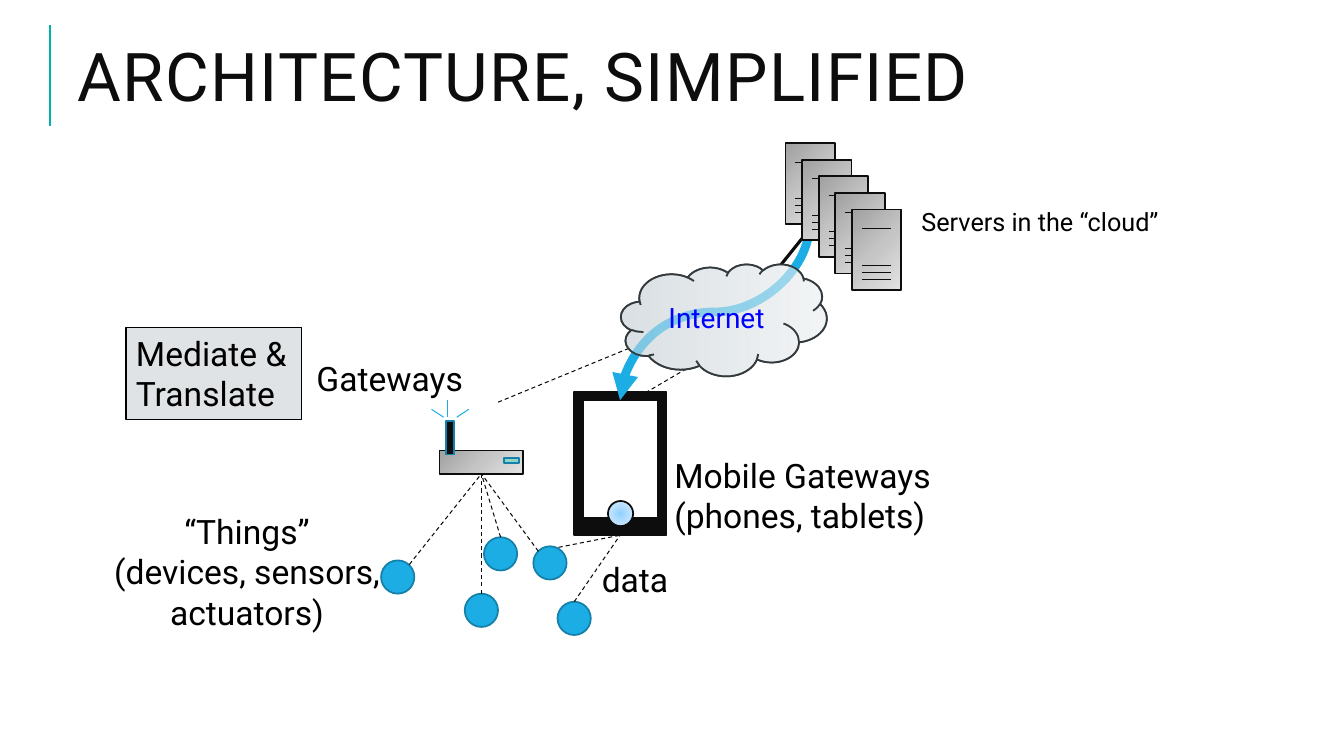
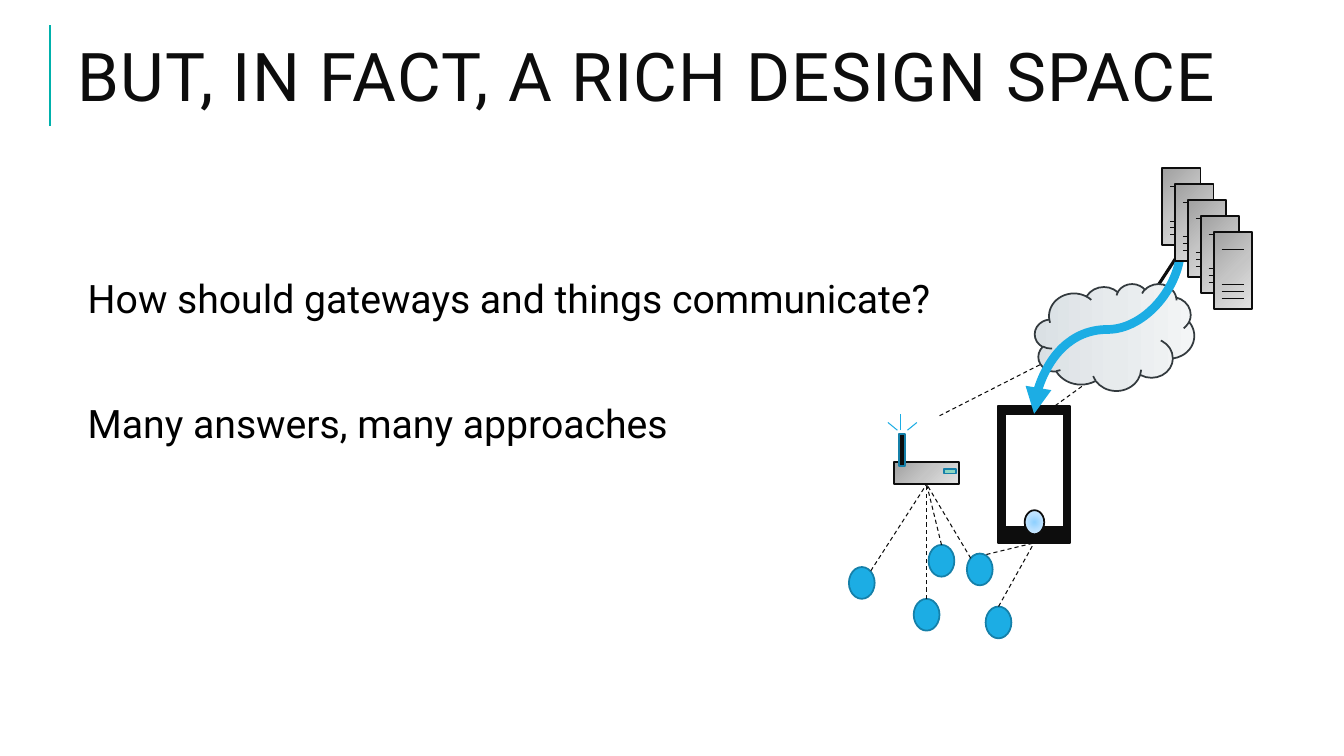
from dataclasses import dataclass

from lxml import etree
from pptx import Presentation
from pptx.dml.color import RGBColor
from pptx.enum.dml import MSO_LINE
from pptx.enum.shapes import MSO_CONNECTOR, MSO_SHAPE
from pptx.enum.text import MSO_ANCHOR, MSO_AUTO_SIZE, PP_ALIGN
from pptx.oxml import parse_xml
from pptx.oxml.ns import nsdecls, qn
from pptx.util import Inches, Pt

RECT, OVAL, CLOUD = MSO_SHAPE.RECTANGLE, MSO_SHAPE.OVAL, MSO_SHAPE.CLOUD
STRAIGHT, CURVE = MSO_CONNECTOR.STRAIGHT, MSO_CONNECTOR.CURVE
DASH = MSO_LINE.DASH
LEFT, CENTER = PP_ALIGN.LEFT, PP_ALIGN.CENTER
TOP, MIDDLE = MSO_ANCHOR.TOP, MSO_ANCHOR.MIDDLE
NO_AUTOFIT = MSO_AUTO_SIZE.NONE

# Colours
INK = RGBColor(0x0D, 0x0D, 0x0D)
BLACK = RGBColor(0x00, 0x00, 0x00)
WHITE = RGBColor(0xFF, 0xFF, 0xFF)
TEAL = RGBColor(0x00, 0xB1, 0xAC)
SKY = RGBColor(0x1C, 0xAD, 0xE4)
DEEP_SKY = RGBColor(0x15, 0x80, 0xA9)
MINT = RGBColor(0x8D, 0xD6, 0xC1)
SLATE = RGBColor(0x33, 0x3A, 0x3E)
PALE = RGBColor(0xDF, 0xE3, 0xE5)
BLUE = RGBColor(0x00, 0x00, 0xFF)

# Gradients: colour and opacity of the three stops, then the direction
LINEAR = '<a:lin ang="{}" scaled="0"/>'
RADIAL = ('<a:path path="circle"><a:fillToRect l="50000" t="50000" '
          'r="50000" b="50000"/></a:path>')
METAL = ((("A0A0A0", 100), ("C5C5C5", 100), ("E3E3E3", 100)),
         LINEAR.format(2700000))
BUTTON = ((("8FD1FF", 100), ("BAE1FF", 100), ("DDEFFF", 100)), RADIAL)
MIST = ((("DAE0E4", 100), ("E7EBED", 100), ("F3F5F6", 100)),
        LINEAR.format(0))
VEIL = ((("DAE0E4", 50), ("E7EBED", 56), ("F3F5F6", 63)),
        LINEAR.format(0))

FONT = "Roboto"
CLOUD_AREA = (6.16, 2.62, 2.04, 1.11)
THING_SIZE = 0.33


@dataclass
class Frame:
    """Scales and shifts the diagram on a page."""
    page: object
    scale_x: float = 1
    scale_y: float = 1
    shift_x: float = 0
    shift_y: float = 0

    def point(self, x, y):
        return (x * self.scale_x + self.shift_x,
                y * self.scale_y + self.shift_y)

    def area(self, left, top, width, height):
        return (*self.point(left, top),
                width * self.scale_x, height * self.scale_y)


# Formatting
def format_font(font, size, color):
    for name, value in {"name": FONT, "size": Pt(size)}.items():
        setattr(font, name, value)
    font.color.rgb = color


def fill_gradient(shape, gradient):
    stops, direction = gradient
    parts = "".join(
        f'<a:gs pos="{index * 50000}"><a:srgbClr val="{color}">'
        f'<a:alpha val="{opacity * 1000}"/></a:srgbClr></a:gs>'
        for index, (color, opacity) in enumerate(stops))
    shape.fill.background()
    properties = shape._element.spPr
    properties.replace(
        properties.find(qn("a:noFill")),
        parse_xml(f'<a:gradFill {nsdecls("a")} rotWithShape="1">'
                  f'<a:gsLst>{parts}</a:gsLst>{direction}</a:gradFill>'))


def write_text(box, text, size, color=BLACK, align=LEFT, anchor=TOP,
               wrap=True):
    frame = box.text_frame
    settings = {"word_wrap": wrap, "vertical_anchor": anchor}
    for name, value in settings.items():
        setattr(frame, name, value)
    para = frame.paragraphs[0]
    para.text = text
    para.alignment = align
    for span in para.runs:
        format_font(span.font, size, color)


# Elements
def add_figure(frame, kind, area, fill, line=INK, width=1.25):
    shape = frame.page.shapes.add_shape(
        kind, *map(Inches, frame.area(*area)))
    shape.shadow.inherit = False
    if isinstance(fill, RGBColor):
        shape.fill.solid()
        shape.fill.fore_color.rgb = fill
    else:
        fill_gradient(shape, fill)
    shape.line.color.rgb = line
    shape.line.width = Pt(width)
    return shape


def style_connector(connector, color, width, dash=None):
    connector.line.color.rgb = color
    connector.line.width = Pt(width)
    if dash:
        connector.line.dash_style = dash
    etree.SubElement(connector._element.spPr, qn("a:effectLst"))


def add_line(frame, start, end, color=INK, width=0.75, dash=None):
    ends = (*frame.point(*start), *frame.point(*end))
    line = frame.page.shapes.add_connector(STRAIGHT, *map(Inches, ends))
    style_connector(line, color, width, dash)
    return line


def add_flow_arrow(frame, start, end):
    """S-curve that leaves and arrives vertically: a quarter-turned curve."""
    (x1, y1), (x2, y2) = frame.point(*start), frame.point(*end)
    mid_x, mid_y = (x1 + x2) / 2, (y1 + y2) / 2
    half_w, half_h = (y2 - y1) / 2, (x1 - x2) / 2
    arrow = frame.page.shapes.add_connector(
        CURVE, Inches(mid_x - half_w), Inches(mid_y - half_h),
        Inches(mid_x + half_w), Inches(mid_y + half_h))
    style_connector(arrow, SKY, 6.25)
    properties = arrow._element.spPr
    properties.find(qn("a:xfrm")).set("rot", "5400000")
    etree.SubElement(properties.find(qn("a:ln")), qn("a:tailEnd"),
                     type="triangle")


def add_label(page, area, text, size=24, **options):
    box = page.shapes.add_textbox(*map(Inches, area))
    write_text(box, text, size, **options)


# Diagram parts
def add_server(frame, left, top):
    add_figure(frame, RECT, (left, top, 0.49, 0.8), METAL)
    for offset in (0.19, 0.55, 0.62, 0.69):
        add_line(frame, (left + 0.1, top + offset),
                 (left + 0.39, top + offset))


def add_router(frame):
    router = add_figure(frame, RECT, (4.36, 4.47, 0.83, 0.23), METAL)
    add_figure(frame, RECT, (4.42, 4.18, 0.08, 0.33), INK, DEEP_SKY)
    add_figure(frame, RECT, (5, 4.54, 0.15, 0.05), MINT, DEEP_SKY)
    for start, end in (((4.4, 4.14), (4.28, 4.06)),
                       ((4.44, 4.14), (4.44, 3.97)),
                       ((4.53, 4.14), (4.65, 4.06))):
        add_line(frame, start, end, SKY)
    return router


def add_phone(frame):
    phone = add_figure(frame, RECT, (5.69, 3.89, 0.92, 1.42), INK)
    add_figure(frame, RECT, (5.78, 3.97, 0.75, 1.17), WHITE)
    add_figure(frame, OVAL, (6.03, 4.97, 0.25, 0.25), BUTTON)
    return phone


def add_wire(frame, start, device, thing=None):
    """Dashed wire to the underside of a device, from the top of a thing."""
    wire = add_line(frame, start, start, dash=DASH)
    if thing is not None:
        wire.begin_connect(thing, 0)
    wire.end_connect(device, 2)


def add_diagram(frame):
    # Uplinks
    add_line(frame, (4.94, 3.99), (6.98, 3.15), dash=DASH)
    add_line(frame, (5.97, 4.15), (7.3, 3.37), dash=DASH)
    add_line(frame, (7.22, 3.28), (8, 2.31), width=2.25)

    # Gateways and things
    router, phone = add_router(frame), add_phone(frame)
    spots = ((3.78, 5.56), (5.29, 5.42), (4.61, 5.89), (4.8, 5.33),
             (5.53, 5.97))
    things = [add_figure(frame, OVAL, (*spot, THING_SIZE, THING_SIZE),
                         SKY, DEEP_SKY) for spot in spots]
    for index, device in ((2, router), (3, router), (4, phone)):
        add_wire(frame, spots[index], device, things[index])
    for start, device in (((4.06, 5.6), router), ((5.34, 5.47), router),
                          ((5.54, 5.43), phone)):
        add_wire(frame, start, device)

    # Cloud, data flow and servers
    add_figure(frame, CLOUD, CLOUD_AREA, MIST, SLATE)
    add_flow_arrow(frame, (8.03, 2.22), (6.15, 3.97))
    for index in range(5):
        add_server(frame, 7.79 + index * 0.165, 1.42 + index * 0.165)


# Pages
def place(box, area):
    for name, value in zip(("left", "top", "width", "height"), area):
        setattr(box, name, Inches(value))


def add_page(deck, layout, title):
    page = deck.slides.add_slide(deck.slide_layouts[layout])
    add_line(Frame(page), (0.5, 1.25), (0.5, 0.25), TEAL, 1.5)
    box = page.shapes.title
    place(box, (0.67, 0.4, 11.5, 1.45))
    write_text(box, title, 48, INK)
    box.text_frame.auto_size = NO_AUTOFIT
    box.text_frame.margin_top = Inches(0.1)
    para = box.text_frame.paragraphs[0]
    para.line_spacing = 0.8
    para.runs[0].font._element.set("spc", "100")
    return page


def fill_body(box, lines):
    place(box, (0.67, 1.42, 11.5, 4.92))
    frame = box.text_frame
    settings = {"auto_size": NO_AUTOFIT, "vertical_anchor": TOP,
                "margin_left": Inches(0.2), "margin_top": Inches(1.35)}
    for name, value in settings.items():
        setattr(frame, name, value)
    for index, line in enumerate(lines):
        para = frame.add_paragraph() if index else frame.paragraphs[0]
        properties = para._p.get_or_add_pPr()
        for name in ("marL", "indent"):
            properties.set(name, "0")
        etree.SubElement(properties, qn("a:buNone"))
        para.line_spacing = 0.9
        para.space_before = Pt(59 if index else 0)
        span = para.add_run()
        span.text = line
        format_font(span.font, 28, BLACK)


def build_architecture(deck):
    page = add_page(deck, 5, "ARCHITECTURE, SIMPLIFIED")
    frame = Frame(page)
    add_diagram(frame)
    veil = add_figure(frame, CLOUD, CLOUD_AREA, VEIL, SLATE)
    write_text(veil, "Internet", 20, BLUE, CENTER, MIDDLE)

    add_label(page, (0.95, 5.02, 3, 1.31),
              "“Things”\n(devices, sensors, actuators)", align=CENTER)
    add_label(page, (5.87, 5.5, 1.61, 0.5), "data")
    add_label(page, (6.59, 4.46, 3.03, 0.91),
              "Mobile Gateways (phones, tablets)")
    add_label(page, (3.04, 3.5, 2.22, 0.5), "Gateways")
    add_label(page, (9.04, 2, 2.71, 0.4), "Servers in the “cloud”", 18,
              wrap=False)
    role = add_figure(frame, RECT, (1.25, 3.25, 1.74, 0.91), PALE, BLACK,
                      0.75)
    write_text(role, "Mediate &\nTranslate", 24, wrap=False)


def build_design_space(deck):
    page = add_page(deck, 1, "BUT, IN FACT, A RICH DESIGN SPACE")
    add_diagram(Frame(page, 0.775, 0.956, 5.49, 0.31))
    fill_body(page.placeholders[1],
              ("How should gateways and things communicate?",
               "Many answers, many approaches"))


def main():
    deck = Presentation()
    deck.slide_width, deck.slide_height = Inches(13.33), Inches(7.5)
    build_architecture(deck)
    build_design_space(deck)
    deck.save("out.pptx")


if __name__ == "__main__":
    main()
